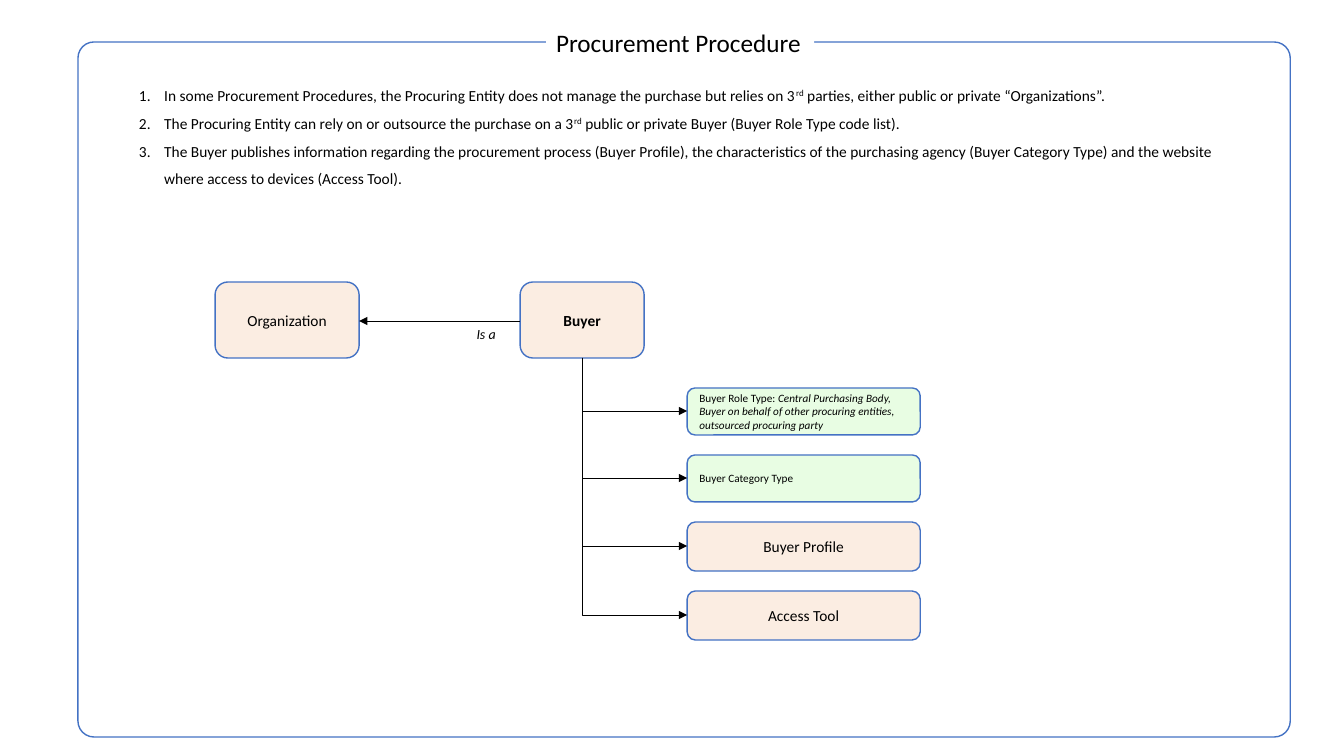
from dataclasses import dataclass

from lxml.etree import SubElement
from pptx import Presentation
from pptx.dml.color import RGBColor
from pptx.enum.shapes import MSO_CONNECTOR as Link, MSO_SHAPE as Preset
from pptx.enum.text import MSO_ANCHOR as Anchor, PP_ALIGN as Align
from pptx.oxml.ns import qn
from pptx.util import Emu, Inches, Pt

SCALE = 914400 / 100.8
COLORS = {"outline": "4472C4", "entity": "FBEDE2", "code": "E8FDE3",
          "ink": "000000", "paper": "FFFFFF"}


@dataclass
class Span:
    text: str
    bold: bool = False
    italic: bool = False
    superscript: bool = False


@dataclass
class Node:
    left: int
    top: int
    width: int
    height: int
    spans: list[Span]
    fill: str = "entity"
    size: int = 11
    align: Align = Align.CENTER

    @property
    def middle(self) -> int:
        return self.top + self.height // 2


def px(value: float) -> Emu:
    return Emu(round(value * SCALE))


def color(name: str) -> RGBColor:
    return RGBColor.from_string(COLORS[name])


def write(para, spans: list[Span], size: int, align: Align = Align.LEFT) -> None:
    para.alignment = align
    para.font.name = "Calibri"
    para.font.size = Pt(size)
    para.font.color.rgb = color("ink")
    for span in spans:
        run = para.add_run()
        run.text = span.text
        if span.bold:
            run.font.bold = True
        if span.italic:
            run.font.italic = True
        if span.superscript:
            run._r.get_or_add_rPr().set("baseline", "30000")


def add_rounded(left: int, top: int, width: int, height: int):
    box = page.shapes.add_shape(Preset.ROUNDED_RECTANGLE,
                                px(left), px(top), px(width), px(height))
    box.shadow.inherit = False
    box.line.color.rgb = color("outline")
    box.line.width = Pt(1)
    return box


def add_node(node: Node) -> None:
    box = add_rounded(node.left, node.top, node.width, node.height)
    box.fill.solid()
    box.fill.fore_color.rgb = color(node.fill)
    box.text_frame.word_wrap = True
    box.text_frame.vertical_anchor = Anchor.MIDDLE
    write(box.text_frame.paragraphs[0], node.spans, node.size, node.align)


def add_text(left: int, top: int, width: int, height: int, wrap: bool = True):
    box = page.shapes.add_textbox(px(left), px(top), px(width), px(height))
    box.text_frame.word_wrap = wrap
    return box


def add_arrow(kind: Link, x1: float, y1: float, x2: float, y2: float):
    arrow = page.shapes.add_connector(kind, px(x1), px(y1), px(x2), px(y2))
    arrow.line.color.rgb = color("ink")
    arrow.line.width = Pt(0.5)
    SubElement(arrow.line._get_or_add_ln(), qn("a:tailEnd"), type="triangle")
    SubElement(arrow._element.spPr, qn("a:effectLst"))
    return arrow


def add_branch(x1: int, y1: int, x2: int, y2: int) -> None:
    """Go down, then right: a one-bend connector, mirrored and turned by 270 degrees."""
    across, down = x2 - x1, y2 - y1
    center_x, center_y = (x1 + x2) / 2, (y1 + y2) / 2
    arrow = add_arrow(Link.ELBOW, center_x + down / 2, center_y - across / 2,
                      center_x - down / 2, center_y + across / 2)
    properties = arrow._element.spPr
    properties.find(qn("a:xfrm")).set("rot", str(270 * 60000))
    properties.find(qn("a:prstGeom")).set("prst", "bentConnector2")


deck = Presentation()
deck.slide_width, deck.slide_height = Inches(13.33), Inches(7.5)
page = deck.slides.add_slide(deck.slide_layouts[6])

# Frame and title
frame = add_rounded(78, 42, 1212, 695)
frame.adjustments[0] = 0.023
frame.fill.background()
title = add_text(546, 22, 268, 40, wrap=False)
title.fill.solid()
title.fill.fore_color.rgb = color("paper")
write(title.text_frame.paragraphs[0], [Span("Procurement Procedure")], 18)

# Numbered statements
ordinal = Span("rd", superscript=True)
statements = [
    [Span("In some Procurement Procedures, the Procuring Entity does not manage "
          "the purchase but relies on 3"), ordinal,
     Span(" parties, either public or private “Organizations”.")],
    [Span("The Procuring Entity can rely on or outsource the purchase on a 3"), ordinal,
     Span(" public or private Buyer (Buyer Role Type code list).")],
    [Span("The Buyer publishes information regarding the procurement process "
          "(Buyer Profile), the characteristics of the purchasing agency (Buyer "
          "Category Type) and the website where access to devices (Access Tool).")],
]
text = add_text(129, 72, 1119, 150).text_frame
for index, spans in enumerate(statements):
    para = text.add_paragraph() if index else text.paragraphs[0]
    para.line_spacing = 1.5
    indent = Inches(0.25)
    settings = para._p.get_or_add_pPr()
    settings.set("marL", str(indent))
    settings.set("indent", str(-indent))
    SubElement(settings, qn("a:buFont"), typeface="+mj-lt")
    SubElement(settings, qn("a:buAutoNum"), type="arabicPeriod")
    write(para, spans, 11)

# Buyer is an organization
organization = Node(215, 282, 144, 76, [Span("Organization")])
buyer = Node(520, 282, 124, 76, [Span("Buyer", bold=True)])
add_node(organization)
add_node(buyer)
add_arrow(Link.STRAIGHT, buyer.left, buyer.middle + 1,
          organization.left + organization.width, organization.middle + 1)
label = add_text(414, 321, 144, 27)
write(label.text_frame.paragraphs[0], [Span("Is a", italic=True)], 10, Align.CENTER)

# Buyer details, stacked with equal gaps
LEFT, WIDTH, GAP = 687, 233, 20
CODE_HEIGHT, ENTITY_HEIGHT = 47, 49
codes = [
    [Span("Buyer Role Type: "),
     Span("Central Purchasing Body, Buyer on behalf of other procuring entities, "
          "outsourced procuring party", italic=True)],
    [Span("Buyer Category Type")],
]
entities = [[Span("Buyer Profile")], [Span("Access Tool")]]
top = 388
details: list[Node] = []
for spans in codes:
    details.append(Node(LEFT, top, WIDTH, CODE_HEIGHT, spans, "code", 8, Align.LEFT))
    top += CODE_HEIGHT + GAP
for spans in entities:
    details.append(Node(LEFT, top, WIDTH, ENTITY_HEIGHT, spans))
    top += ENTITY_HEIGHT + GAP
for detail in details:
    add_node(detail)
    add_branch(buyer.left + buyer.width // 2, buyer.top + buyer.height,
               detail.left, detail.middle)

deck.save("out.pptx")
